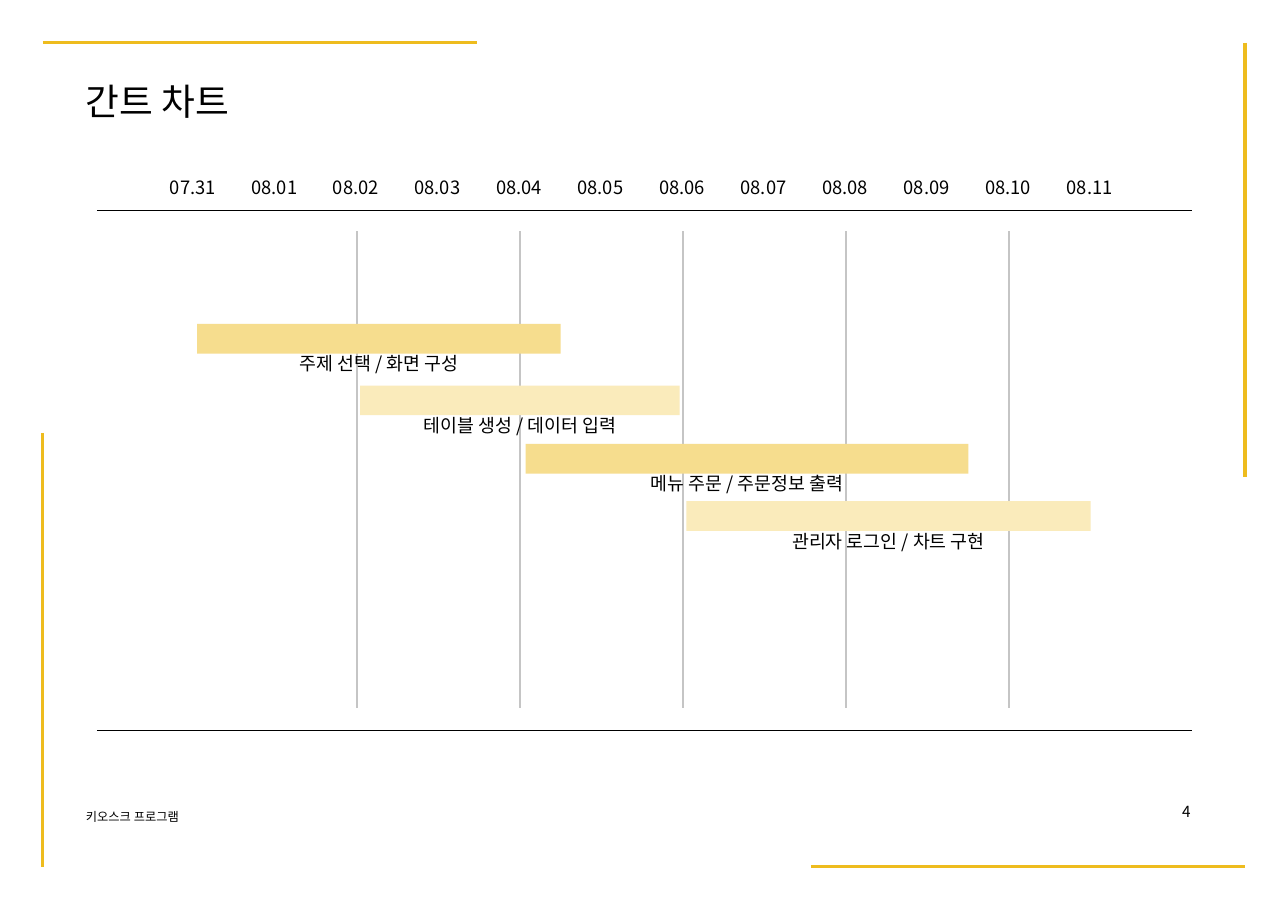
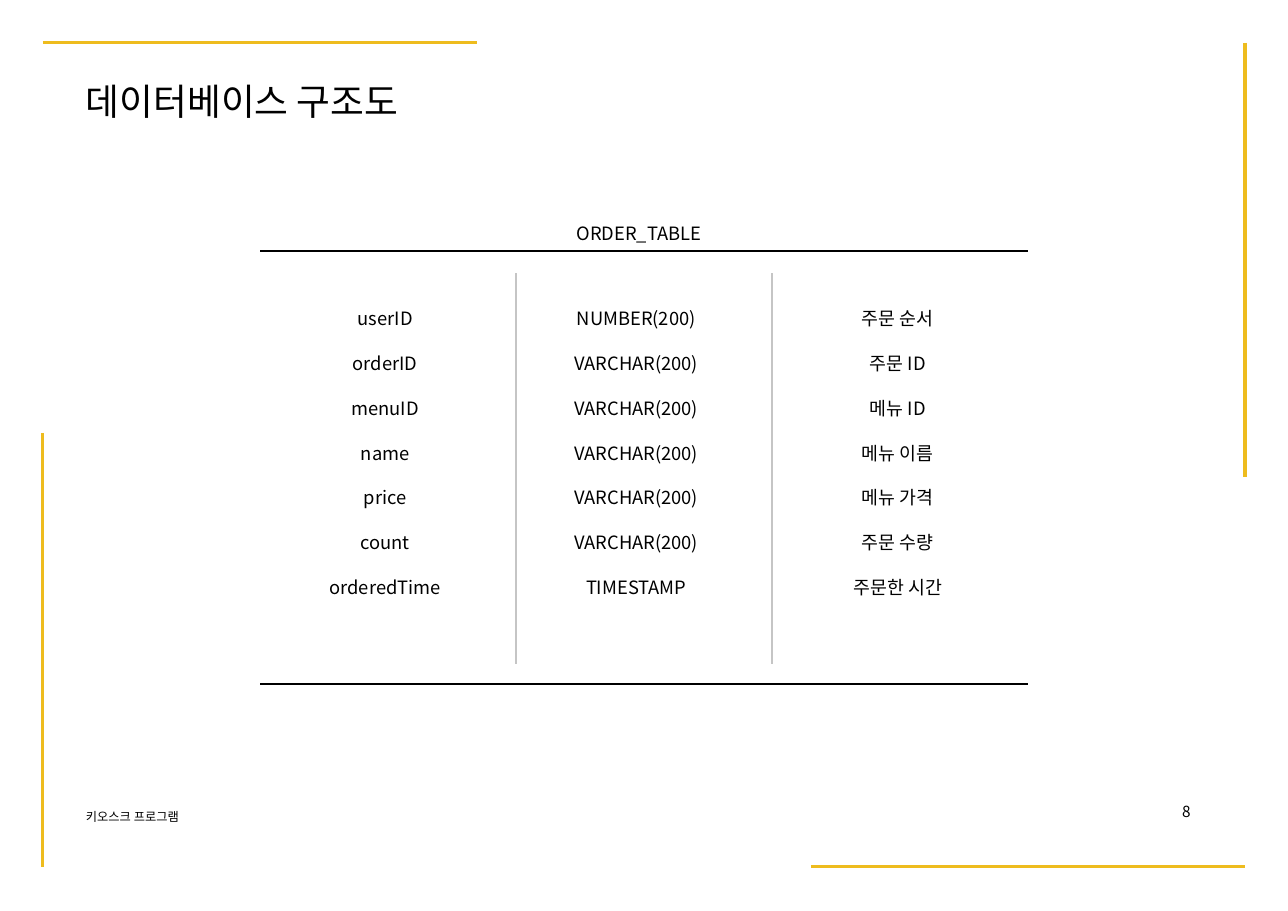
from dataclasses import dataclass

from lxml.etree import SubElement
from pptx import Presentation
from pptx.dml.color import RGBColor
from pptx.enum.shapes import MSO_CONNECTOR as Connector, MSO_SHAPE as Shape
from pptx.enum.text import MSO_ANCHOR as Anchor, PP_ALIGN as Align
from pptx.oxml.ns import qn
from pptx.util import Emu, Pt


@dataclass(frozen=True)
class Theme:
    font: str = "Noto Sans CJK KR"
    ink: str = "000000"
    grid: str = "C5C5C5"
    accent: str = "EEBC1E"
    bar_tints: tuple = ("F6DD8E", "FAEBBB")
    title: int = 24
    body: int = 12
    page: int = 10
    footer: int = 8
    rule: int = 1
    frame: int = 2


THEME = Theme()
SLIDE_W, SLIDE_H = 1169, 827

# Gantt content: the axis starts at 07.31, bars are (label, left, top, width)
DATES = ["07.31"] + [f"08.{day:02}" for day in range(1, 12)]
AXIS_X, DAY_W = 176, 74
TASKS = [
    ("주제 선택 / 화면 구성", 179, 294, 330),
    ("테이블 생성 / 데이터 입력", 327, 350, 290),
    ("메뉴 주문 / 주문정보 출력", 477, 403, 402),
    ("관리자 로그인 / 차트 구현", 623, 455, 367),
]
BAR_H = 27

# Database content: column name, type, meaning
COLUMNS = [
    ("userID", "NUMBER(200)", "주문 순서"),
    ("orderID", "VARCHAR(200)", "주문 ID"),
    ("menuID", "VARCHAR(200)", "메뉴 ID"),
    ("name", "VARCHAR(200)", "메뉴 이름"),
    ("price", "VARCHAR(200)", "메뉴 가격"),
    ("count", "VARCHAR(200)", "주문 수량"),
    ("orderedTime", "TIMESTAMP", "주문한 시간"),
]
RIGHT_INSETS = (5, 14, 4)


def px(length):
    """One px is a hundredth of an inch."""
    return Emu(round(length * 9144))


def rgb(color):
    return RGBColor.from_string(color)


def write(frame, text, size, align=Align.LEFT):
    """Put one styled paragraph into a text frame."""
    frame.word_wrap = True
    paragraph = frame.paragraphs[0]
    paragraph.text = text
    paragraph.alignment = align
    font = paragraph.font
    font.size = Pt(size)
    font.name = THEME.font
    font.color.rgb = rgb(THEME.ink)
    # Korean letters take the East Asian typeface
    defaults = paragraph._p.pPr.find(qn("a:defRPr"))
    SubElement(defaults, qn("a:ea"), typeface=THEME.font)


def add_text(slide, text, left, top, width, height, size, align=Align.LEFT):
    frame = slide.shapes.add_textbox(px(left), px(top), px(width), px(height)).text_frame
    frame.margin_left = frame.margin_right = frame.margin_bottom = 0
    frame.margin_top = px(1)
    write(frame, text, size, align)


def add_line(slide, x1, y1, x2, y2, color=THEME.ink, weight=THEME.rule):
    connector = slide.shapes.add_connector(
        Connector.STRAIGHT, px(x1), px(y1), px(x2), px(y2))
    connector.line.color.rgb = rgb(color)
    connector.line.width = Pt(weight)
    SubElement(connector._element.spPr, qn("a:effectLst"))


def add_bar(slide, left, top, width, color):
    bar = slide.shapes.add_shape(Shape.RECTANGLE, px(left), px(top), px(width), px(BAR_H))
    bar.shadow.inherit = False
    bar.fill.solid()
    bar.fill.fore_color.rgb = rgb(color)
    bar.line.fill.background()


def add_column_table(slide, left, top, width, height):
    table = slide.shapes.add_table(
        len(COLUMNS), len(COLUMNS[0]), px(left), px(top), px(width), px(height)).table
    table.first_row = table.horz_banding = False
    for row, texts in enumerate(COLUMNS):
        for column, text in enumerate(texts):
            cell = table.cell(row, column)
            cell.fill.background()
            cell.vertical_anchor = Anchor.MIDDLE
            cell.margin_left = cell.margin_top = cell.margin_bottom = 0
            cell.margin_right = px(RIGHT_INSETS[column])
            write(cell.text_frame, text, THEME.body, Align.CENTER)


def new_slide(deck, title, number):
    """Blank slide with the accent frame, title, footer and page number."""
    slide = deck.slides.add_slide(deck.slide_layouts[6])
    near, right, bottom, length = 39, 1130, 787, 394
    for ends in [
        (near, near, near + length, near),
        (right - length, bottom, right, bottom),
        (right, near, right, near + length),
        (near, bottom - length, near, bottom),
    ]:
        add_line(slide, *ends, THEME.accent, THEME.frame)
    add_text(slide, title, 78, 71, 700, 43, THEME.title)
    add_text(slide, "키오스크 프로그램", 78, 734, 200, 16, THEME.footer)
    add_text(slide, str(number), 1073, 727, 22, 19, THEME.page)
    return slide


def build_gantt(deck):
    slide = new_slide(deck, "간트 차트", 4)
    # Date axis with a grid line at every second day
    for day, date in enumerate(DATES):
        x = AXIS_X + day * DAY_W
        add_text(slide, date, x - DAY_W / 2 - 1, 159, DAY_W, 23, THEME.body, Align.CENTER)
        if day and day % 2 == 0:
            add_line(slide, x, 210, x, 643, THEME.grid)
    for y in (191, 663):
        add_line(slide, 88, y, 1082, y)
    # Tasks, each label centred below its bar
    for index, (label, left, top, width) in enumerate(TASKS):
        add_bar(slide, left, top, width, THEME.bar_tints[index % 2])
        add_text(slide, label, left, top + 25, width, 23, THEME.body, Align.CENTER)


def build_database(deck):
    slide = new_slide(deck, "데이터베이스 구조도", 8)
    left, width = 236, 697
    add_text(slide, "ORDER_TABLE", left, 201, width - 9, 23, THEME.body, Align.CENTER)
    add_column_table(slide, left, 268, width, 285)
    # Rules above, below and between the columns
    for y in (228, 621):
        add_line(slide, left, y, left + width, y)
    for column in (1, 2):
        x = left + column * width / 3
        add_line(slide, x, 248, x, 603, THEME.grid)


def main():
    deck = Presentation()
    deck.slide_width, deck.slide_height = px(SLIDE_W), px(SLIDE_H)
    build_gantt(deck)
    build_database(deck)
    deck.save("out.pptx")


if __name__ == "__main__":
    main()
